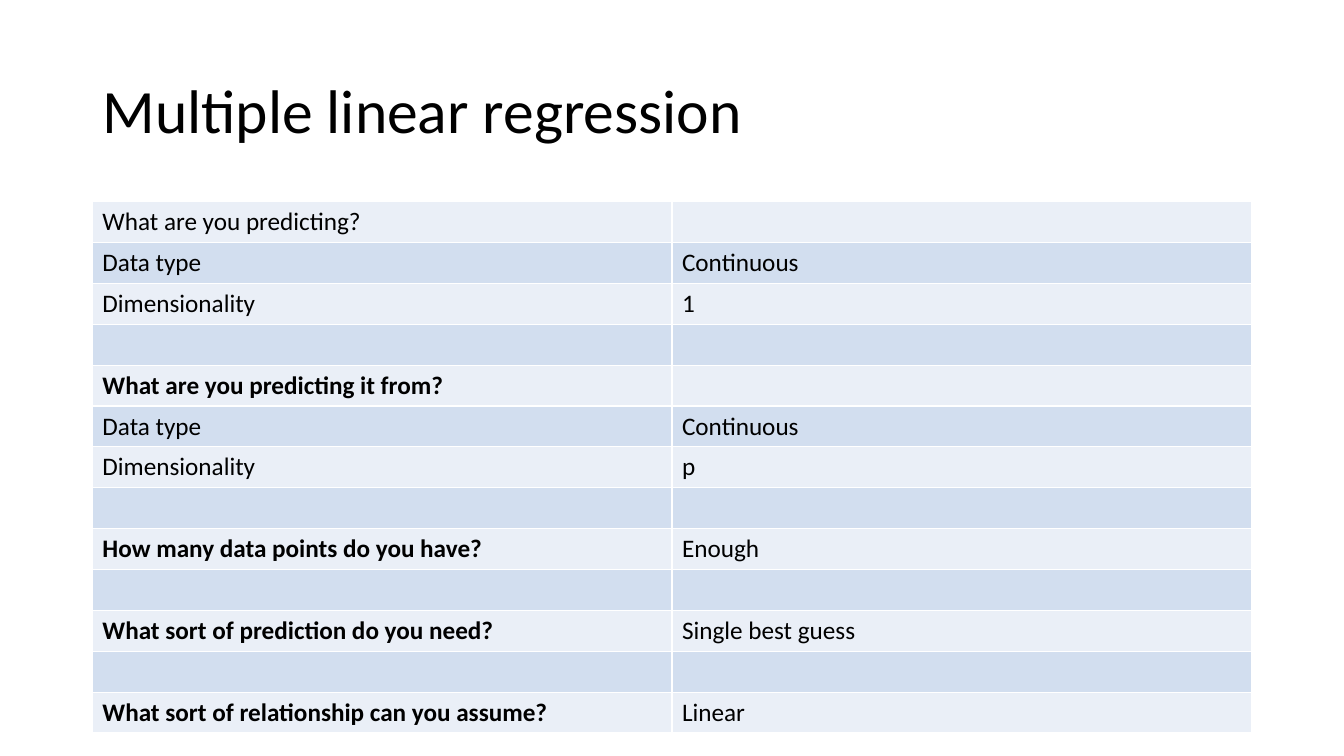
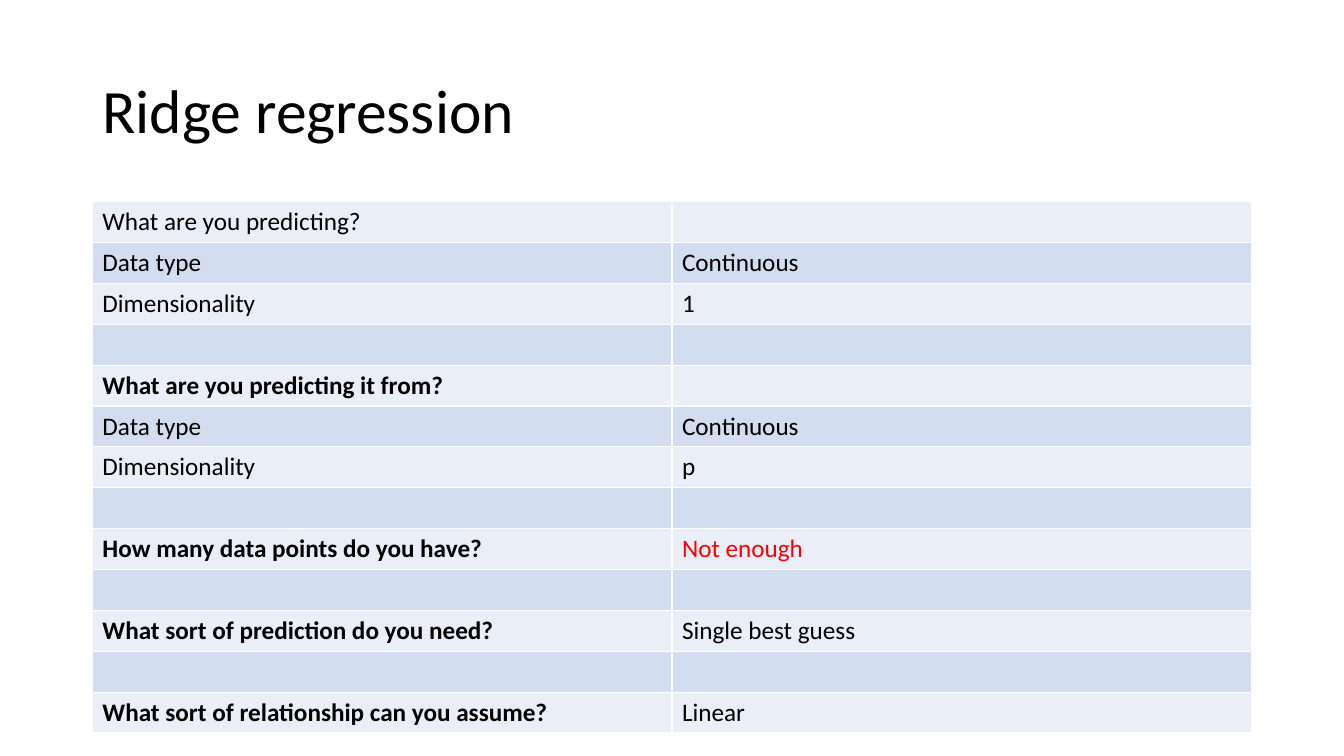
from lxml import etree
from pptx import Presentation
from pptx.dml.color import RGBColor
from pptx.enum import text
from pptx.oxml import ns
from pptx.util import Pt

COLORS = {"ink": "000000", "alert": "FF0000", "rule": "FFFFFF",
          "light": "EAEFF7", "dark": "D2DEEF"}
LEFT, WIDTH = 66, 828
TITLE_BOX = {"left": LEFT, "top": 28.75, "width": WIDTH, "height": 104.4}
TITLE_FRAME = {"vertical_anchor": text.MSO_ANCHOR.MIDDLE, "word_wrap": True,
               "auto_size": text.MSO_AUTO_SIZE.NONE}
TITLE_PARA = {"alignment": text.PP_ALIGN.LEFT, "line_spacing": 0.9}
TABLE_TOP, ROW_HEIGHT = 144, 29.2
TABLE_FLAGS = {"first_row": False, "horz_banding": True}

# Each page: title, answer to the data points question, colour of that answer
PAGES = [
    ("Multiple linear regression", "Enough", "ink"),
    ("Ridge regression", "Not enough", "alert"),
]


def style_font(font, size, color="ink", bold=False):
    """Apply the deck's typeface with a size, colour and weight."""
    for name, value in {"name": "Calibri", "size": Pt(size), "bold": bold}.items():
        setattr(font, name, value)
    font.color.rgb = RGBColor.from_string(COLORS[color])


def add_borders(cell):
    """Draw a thin rule on all four sides of a table cell."""
    properties = cell._tc.get_or_add_tcPr()
    for side in ("lnL", "lnR", "lnT", "lnB"):
        line = etree.SubElement(properties, ns.qn(f"a:{side}"), w=str(Pt(1)))
        fill = etree.SubElement(line, ns.qn("a:solidFill"))
        etree.SubElement(fill, ns.qn("a:srgbClr"), val=COLORS["rule"])


deck = Presentation()
deck.slide_width, deck.slide_height = Pt(960), Pt(540)
title_only = deck.slide_layouts[5]

for heading, data_points, answer_color in PAGES:
    page = deck.slides.add_slide(title_only)

    title = page.shapes.title
    for name, value in TITLE_BOX.items():
        setattr(title, name, Pt(value))
    title.text_frame.text = heading
    for name, value in TITLE_FRAME.items():
        setattr(title.text_frame, name, value)
    para = title.text_frame.paragraphs[0]
    for name, value in TITLE_PARA.items():
        setattr(para, name, value)
    style_font(para.runs[0].font, 44)

    # Each row: question, answer, whether the question is bold, answer colour
    rows = [
        ("What are you predicting?", "", False, "ink"),
        ("Data type", "Continuous", False, "ink"),
        ("Dimensionality", "1", False, "ink"),
        ("", "", False, "ink"),
        ("What are you predicting it from?", "", True, "ink"),
        ("Data type", "Continuous", False, "ink"),
        ("Dimensionality", "p", False, "ink"),
        ("", "", False, "ink"),
        ("How many data points do you have?", data_points, True, answer_color),
        ("", "", False, "ink"),
        ("What sort of prediction do you need?", "Single best guess", True, "ink"),
        ("", "", False, "ink"),
        ("What sort of relationship can you assume?", "Linear", True, "ink"),
    ]
    table = page.shapes.add_table(
        len(rows), 2, Pt(LEFT), Pt(TABLE_TOP), Pt(WIDTH), Pt(ROW_HEIGHT * len(rows))
    ).table
    for name, value in TABLE_FLAGS.items():
        setattr(table, name, value)

    for index, (question, answer, bold, color) in enumerate(rows):
        table.rows[index].height = Pt(ROW_HEIGHT)
        band = "dark" if index % 2 else "light"
        formats = [(question, "ink", bold), (answer, color, False)]
        for cell, (words, ink, weight) in zip(table.rows[index].cells, formats):
            add_borders(cell)
            cell.fill.solid()
            cell.fill.fore_color.rgb = RGBColor.from_string(COLORS[band])
            cell.text = words
            style_font(cell.text_frame.paragraphs[0].font, 18)
            for span in cell.text_frame.paragraphs[0].runs:
                style_font(span.font, 18, ink, weight)

deck.save("out.pptx")
